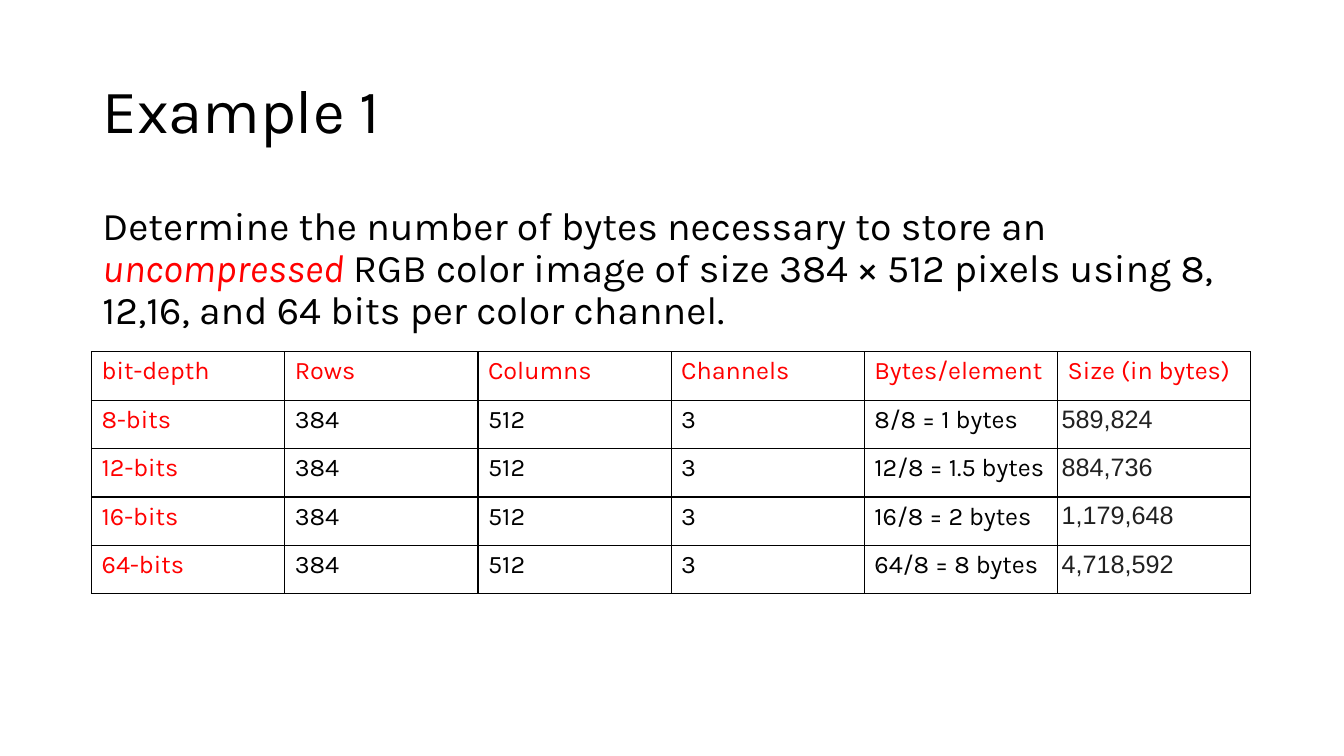
import pptx
import pptx.dml.color
import pptx.enum.text
import pptx.oxml
import pptx.oxml.ns
import pptx.util

Pt = pptx.util.Pt
Text = pptx.enum.text

THEME = {
    "ink": "000000",
    "mark": "FF0000",
    "gray": "212121",
    "paper": "FFFFFF",
    "main": "Karla",
    "plain": "Arial",
    "title": 44,
    "body": 28,
    "cell": 18,
    "line": 1,
}

HEADS = ["bit-depth", "Rows", "Columns", "Channels",
         "Bytes/element", "Size (in bytes)"]
DEPTHS = [8, 12, 16, 64]
ROWS, COLS, BANDS = 384, 512, 3


def color(name):
    return pptx.dml.color.RGBColor.from_string(THEME[name])


def apply(item, form):
    for key, value in form.items():
        setattr(item, key, value)


def add_run(para, text, size, ink="ink", face="main", italic=False):
    run = para.add_run()
    run.text = text
    apply(run.font, {"name": THEME[face], "size": Pt(THEME[size]),
                     "italic": italic, "bold": False})
    run.font.color.rgb = color(ink)


def fill_holder(shape, box, anchor, size, parts, before=0):
    left, top, width, height = map(Pt, box)
    apply(shape, {"left": left, "top": top, "width": width, "height": height})
    frame = shape.text_frame
    apply(frame, {"word_wrap": True, "vertical_anchor": anchor,
                  "auto_size": Text.MSO_AUTO_SIZE.NONE})
    para = frame.paragraphs[0]
    apply(para, {"alignment": Text.PP_ALIGN.LEFT, "line_spacing": 0.9,
                 "space_before": Pt(before)})
    for text, form in parts:
        add_run(para, text, size, **form)
    return para


def drop_bullet(para):
    props = para._p.get_or_add_pPr()
    for key in ("marL", "indent"):
        props.set(key, "0")
    pptx.oxml.ns.qn("a:buNone")
    props.append(pptx.oxml.parse_xml(
        f'<a:buNone {pptx.oxml.ns.nsdecls("a")}/>'))


def add_edges(cell):
    props = cell._tc.get_or_add_tcPr()
    for side in "LRTB":
        props.append(pptx.oxml.parse_xml(
            f'<a:ln{side} {pptx.oxml.ns.nsdecls("a")} w="{Pt(THEME["line"])}">'
            f'<a:solidFill><a:srgbClr val="{THEME["ink"]}"/></a:solidFill>'
            f'</a:ln{side}>'))


def set_cell(cell, text, ink, face, inset):
    add_edges(cell)
    cell.fill.solid()
    cell.fill.fore_color.rgb = color("paper")
    apply(cell, {"margin_left": Pt(inset), "margin_right": Pt(inset),
                 "margin_top": Pt(3.6), "margin_bottom": Pt(3.6)})
    add_run(cell.text_frame.paragraphs[0], text, "cell", ink, face)


def make_row(depth):
    count = depth / 8
    size = int(ROWS * COLS * BANDS * count)
    return [f"{depth}-bits", str(ROWS), str(COLS), str(BANDS),
            f"{depth}/8 = {count:g} bytes", f"{size:,}"]


def add_grid(slide, rows, box):
    shape = slide.shapes.add_table(len(rows), len(rows[0]), *map(Pt, box))
    grid = shape.table
    apply(grid, {"first_row": False, "horz_banding": False})
    last = len(rows[0]) - 1
    for y, row in enumerate(rows):
        for x, text in enumerate(row):
            if y == 0 or x == 0:
                look = ("mark", "main", 7.2)
            elif x == last:
                look = ("gray", "plain", 3)
            else:
                look = ("ink", "main", 7.2)
            set_cell(grid.cell(y, x), text, *look)


def main():
    deck = pptx.Presentation()
    apply(deck, {"slide_width": Pt(960), "slide_height": Pt(540)})
    slide = deck.slides.add_slide(deck.slide_layouts[1])
    title, body = slide.placeholders
    fill_holder(title, (66, 28.75, 828, 104.4), Text.MSO_ANCHOR.MIDDLE,
                "title", [("Example 1", {})])
    task = fill_holder(body, (66, 143.75, 828, 342.6), Text.MSO_ANCHOR.TOP,
                       "body", [
        ("Determine the number of bytes necessary to store an ", {}),
        ("uncompressed", {"ink": "mark", "italic": True}),
        (" RGB color image of size 384 × 512 pixels using 8, 12,16, "
         "and 64 bits per color channel.", {}),
    ], 10)
    drop_bullet(task)
    add_grid(slide, [HEADS] + [make_row(depth) for depth in DEPTHS],
             (65.4, 251.2, 828, 173))
    deck.save("out.pptx")


if __name__ == "__main__":
    main()
